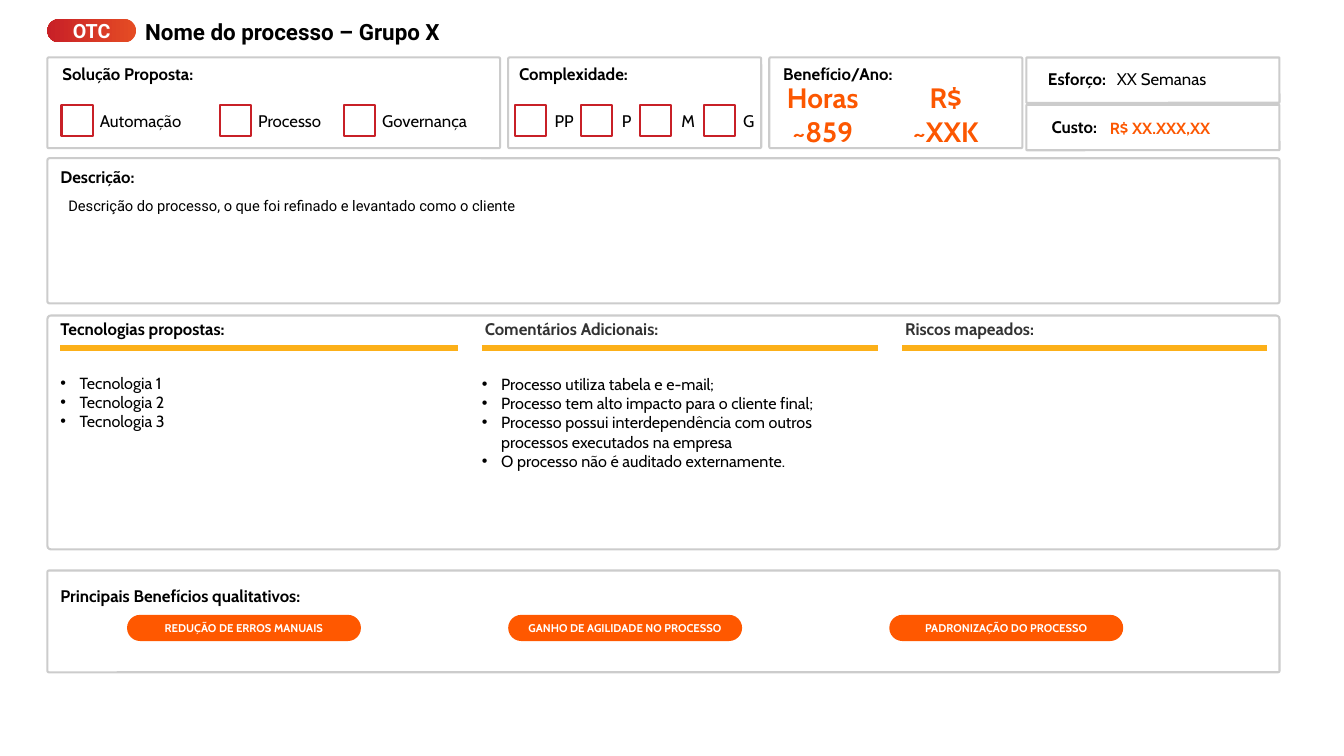
from lxml import etree
from pptx import Presentation
from pptx import util as u
from pptx.dml.color import RGBColor
from pptx.enum import shapes, text
from pptx.oxml.ns import qn

BLACK = RGBColor(0x00, 0x00, 0x00)
DARK = RGBColor(0x33, 0x33, 0x33)
WHITE = RGBColor(0xFF, 0xFF, 0xFF)
GREY = RGBColor(0xCC, 0xCC, 0xCC)
RED = RGBColor(0xC8, 0x20, 0x27)
FLAME = RGBColor(0xE5, 0x4C, 0x24)
AMBER = RGBColor(0xFC, 0xB0, 0x19)
ORANGE = RGBColor(0xFF, 0x58, 0x00)
VALUE = RGBColor(0xFC, 0x57, 0x01)

LEFT, RIGHT = 0.47, 12.69
CARD_TOP, CARD_H, CARD_W = 0.57, 0.9, 2.51
CARD_X = [5.04, 7.63, 10.18]
SMALL_H, SMALL_STEP = 0.45, 0.47
RULE_Y, CHECK_Y, CHECK = 3.45, 1.04, 0.31
PILL_X, PILL_STEP = 1.26, 3.78

TITLE = "Nome do processo – Grupo X"
PANELS = [
    (LEFT, 3.13, RIGHT - LEFT, 2.32),
    (LEFT, 5.66, RIGHT - LEFT, 1.01),
    (LEFT, 1.57, RIGHT - LEFT, 1.44),
    (LEFT, CARD_TOP, 4.49, CARD_H),
    (CARD_X[0], CARD_TOP, CARD_W, CARD_H),
    (CARD_X[1], CARD_TOP, CARD_W, CARD_H),
    (CARD_X[2], CARD_TOP, CARD_W, SMALL_H),
    (CARD_X[2], CARD_TOP + SMALL_STEP, CARD_W, SMALL_H),
]
HEADINGS = [
    ("Solução Proposta:", 0.52, 0.58, BLACK),
    ("Complexidade:", 5.05, 0.58, BLACK),
    ("Benefício/Ano:", 7.67, 0.58, BLACK),
    ("Descrição:", 0.5, 1.6, BLACK),
    ("Tecnologias propostas:", 0.5, 3.11, BLACK),
    ("Comentários Adicionais:", 4.71, 3.11, DARK),
    ("Riscos mapeados:", 8.88, 3.11, DARK),
    ("Principais Benefícios qualitativos:", 0.5, 5.76, BLACK),
]
ESTIMATES = [
    ("Esforço:", 11.07, 0.63, "XX Semanas", 10.98, 0.64, 12, BLACK, False),
    ("Custo:", 10.98, 1.11, "R$ XX.XXX,XX", 10.91, 1.13, 11.5, VALUE, True),
]
SOLUTIONS = [("Automação", 0.61, 0.94), ("Processo", 2.18, 2.51), ("Governança", 3.41, 3.74)]
SIZES = [("PP", 5.11, 5.4), ("P", 5.76, 6.02), ("M", 6.35, 6.63), ("G", 6.98, 7.23)]
BENEFITS = [(7.48, ["Horas", "~859"]), (8.7, ["R$", "~XXK"])]
RULES = [(0.6, 4.54), (4.78, 8.71), (8.95, 12.57)]
DESCRIPTION = "Descrição do processo, o que foi refinado e levantado como o cliente"
LISTS = [
    (0.5, 3.65, 1.26, ["Tecnologia 1", "Tecnologia 2", "Tecnologia 3"]),
    (4.68, 3.66, 1.07, [
        "Processo utiliza tabela e e-mail;",
        "Processo tem alto impacto para o cliente final;",
        "Processo possui interdependência com outros processos executados na empresa",
        "O processo não é auditado externamente.",
    ]),
]
PILLS = ["REDUÇÃO DE ERROS MANUAIS", "GANHO DE AGILIDADE NO PROCESSO", "PADRONIZAÇÃO DO PROCESSO"]

ALIGN, ANCHOR = text.PP_ALIGN, text.MSO_ANCHOR
SHAPE = shapes.MSO_SHAPE

prs = Presentation()
prs.slide_width, prs.slide_height = u.Inches(13.33), u.Inches(7.5)
s = prs.slides.add_slide(prs.slide_layouts[3])


def inches(*values):
    return [u.Inches(v) for v in values]


def place(sp, *box):
    sp.left, sp.top, sp.width, sp.height = inches(*box)


def write(sp, lines, size, color=BLACK, bold=False, align=ALIGN.LEFT, anchor=ANCHOR.TOP,
          font="Cabin", inset=(0.1, 0.05), bullet=False, wrap=True):
    tf = sp.text_frame
    tf.auto_size, tf.word_wrap, tf.vertical_anchor = text.MSO_AUTO_SIZE.NONE, wrap, anchor
    tf.margin_left = tf.margin_right = u.Inches(inset[0])
    tf.margin_top = tf.margin_bottom = u.Inches(inset[1])
    for i, line in enumerate(lines):
        p = tf.add_paragraph() if i else tf.paragraphs[0]
        if bullet:
            pPr = p._p.get_or_add_pPr()
            pPr.set("marL", str(u.Inches(0.19)))
            pPr.set("indent", str(-u.Inches(0.19)))
            etree.SubElement(pPr, qn("a:buFont")).set("typeface", "Arial")
            etree.SubElement(pPr, qn("a:buChar")).set("char", "•")
        p.alignment, p.space_before = align, u.Pt(0)
        r = p.add_run()
        r.text = line
        r.font.name, r.font.size, r.font.bold = font, u.Pt(size), bold
        r.font.color.rgb = color


def label(box, lines, size, **style):
    write(s.shapes.add_textbox(*inches(*box)), lines, size, **style)


def shape(kind, box, fill=None, line=None, adj=None):
    sp = s.shapes.add_shape(kind, *inches(*box))
    sp.shadow.inherit = False
    if adj is not None:
        sp.adjustments[0] = adj
    if fill is None:
        sp.fill.background()
    else:
        sp.fill.solid()
        sp.fill.fore_color.rgb = fill
    if line is None:
        sp.line.fill.background()
    else:
        sp.line.color.rgb, sp.line.width = line, u.Pt(1.5)
    return sp


for box in PANELS:
    shape(SHAPE.ROUNDED_RECTANGLE, box, WHITE, GREY, 0.015)

title, *bodies = s.placeholders
place(title, 1.34, 0.13, 6.89, 0.39)
write(title, [TITLE], 16, bold=True, font="Roboto")
for body, (x, y, h, lines) in zip(bodies, LISTS):
    place(body, x, y, 4.02, h)
    write(body, lines, 11.5, bullet=True)
    s.shapes._spTree.append(body._element)

badge = shape(SHAPE.ROUNDED_RECTANGLE, (LEFT, 0.19, 0.88, 0.23), RED, adj=0.5)
badge.fill.gradient()
badge.fill.gradient_angle = 180
for stop, color in zip(badge.fill.gradient_stops, (FLAME, RED)):
    stop.color.rgb = color
write(badge, ["OTC"], 14, WHITE, True, ALIGN.CENTER, ANCHOR.MIDDLE, "Roboto", (0, 0.05))

for heading, x, y, color in HEADINGS:
    label((x, y, 3.94, 0.29), [heading], 12, color=color, bold=True)
for name, right, y, value, vx, vy, size, color, bold in ESTIMATES:
    label((right - 1.16, y, 1.16, 0.27), [name], 12, bold=True, align=ALIGN.RIGHT)
    label((vx, vy, 1.27, 0.29), [value], size, color=color, bold=bold,
          anchor=ANCHOR.BOTTOM, wrap=False)

for options, width, align in ((SOLUTIONS, 1.05, ALIGN.LEFT), (SIZES, 0.39, ALIGN.CENTER)):
    for name, box_x, text_x in options:
        shape(SHAPE.RECTANGLE, (box_x, CHECK_Y, CHECK, CHECK), line=RED)
        label((text_x, CHECK_Y, width, CHECK), [name], 12, align=align,
              anchor=ANCHOR.MIDDLE, inset=(0.05, 0.05))

for x, lines in BENEFITS:
    label((x, 0.75, 1.36, 0.78), lines, 20, color=VALUE, bold=True, align=ALIGN.CENTER)
label((0.58, 1.9, 11.75, 0.28), [DESCRIPTION], 10.5, font="Roboto")

for x1, x2 in RULES:
    rule = s.shapes.add_connector(shapes.MSO_CONNECTOR.STRAIGHT, *inches(x1, RULE_Y, x2, RULE_Y))
    rule.line.color.rgb, rule.line.width = AMBER, u.Pt(4.5)
    etree.SubElement(rule._element.spPr, qn("a:effectLst"))

for i, benefit in enumerate(PILLS):
    pill = shape(SHAPE.ROUNDED_RECTANGLE, (PILL_X + i * PILL_STEP, 6.1, 2.32, 0.26), ORANGE, adj=0.5)
    write(pill, [benefit], 8, WHITE, True, ALIGN.CENTER, ANCHOR.MIDDLE, inset=(0.04, 0.05))

prs.save("out.pptx")
